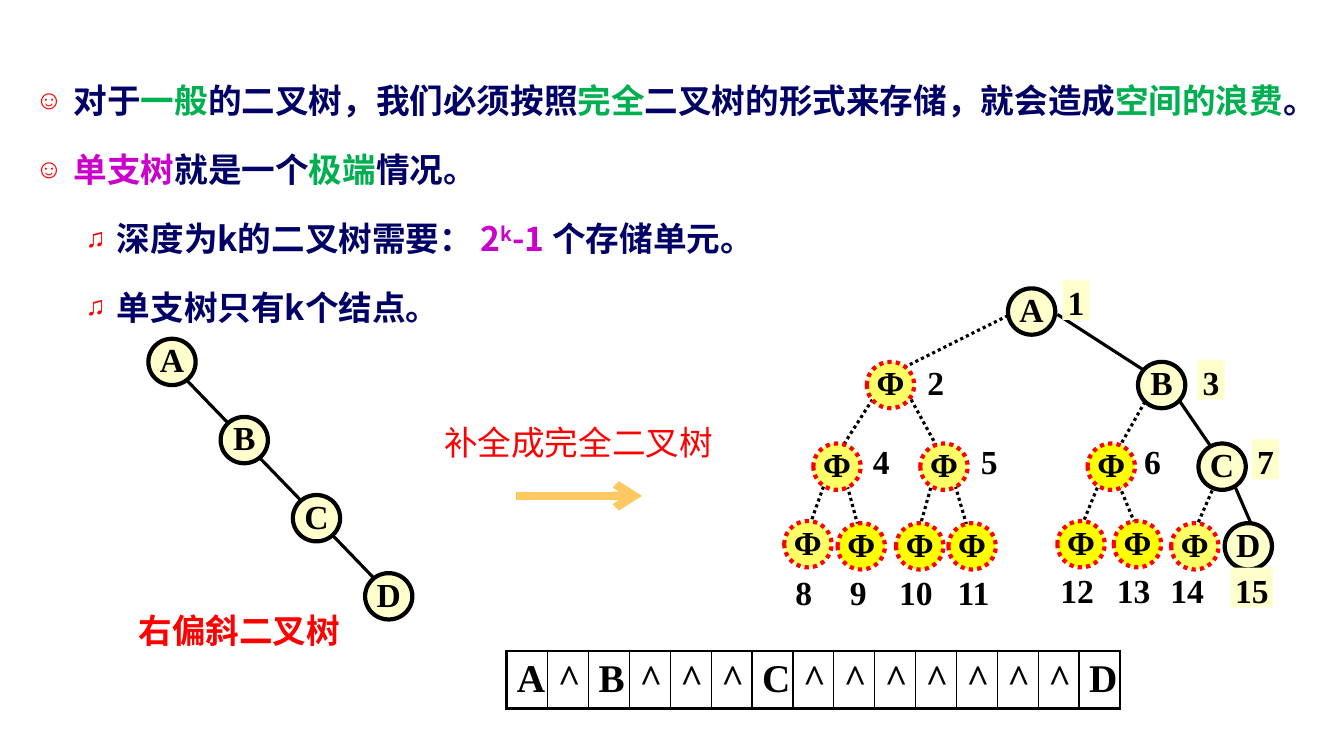
from lxml import etree
from pptx import Presentation
from pptx.dml.color import RGBColor
from pptx.enum.dml import MSO_LINE
from pptx.enum.shapes import MSO_CONNECTOR, MSO_SHAPE
from pptx.enum.text import MSO_ANCHOR, MSO_AUTO_SIZE, PP_ALIGN
from pptx.oxml.ns import qn
from pptx.util import Pt

LINE, OVAL = MSO_CONNECTOR.STRAIGHT, MSO_SHAPE.OVAL
DOTS = MSO_LINE.ROUND_DOT
TOP, MIDDLE = MSO_ANCHOR.TOP, MSO_ANCHOR.MIDDLE
FIXED = MSO_AUTO_SIZE.NONE
LEFT, CENTER = PP_ALIGN.LEFT, PP_ALIGN.CENTER

BLACK = RGBColor(0x00, 0x00, 0x00)
NAVY = RGBColor(0x00, 0x00, 0x66)
GREEN = RGBColor(0x00, 0xB0, 0x50)
PURPLE = RGBColor(0xCC, 0x00, 0xCC)
RED = RGBColor(0xFF, 0x00, 0x00)
CREAM = RGBColor(0xFF, 0xFF, 0xCC)
PALE = RGBColor(0xFF, 0xFF, 0x66)
YELLOW = RGBColor(0xFF, 0xFF, 0x00)
ORANGE = RGBColor(0xFD, 0xC9, 0x60)
SANS, SERIF = "Noto Sans CJK SC", "Times New Roman"


def style(para, face, color, size=24, bold=True, align=LEFT):
    para.alignment = align
    font = para.font
    font.size, font.bold, font.name = Pt(size), bold, face
    font.color.rgb = color
    props = para._p.pPr.find(qn("a:defRPr"))
    etree.SubElement(props, qn("a:ea"), typeface=face)


def link(x1, y1, x2, y2, color=BLACK, width=2.25):
    line = shapes.add_connector(LINE, Pt(x1), Pt(y1), Pt(x2), Pt(y2))
    line.line.color.rgb = color
    line.line.width = Pt(width)
    etree.SubElement(line._element.spPr, qn("a:effectLst"))
    return line


deck = Presentation()
deck.slide_width, deck.slide_height = Pt(960), Pt(540)
slide = deck.slides.add_slide(deck.slide_layouts[1])
shapes = slide.shapes
title = shapes.title._element
title.getparent().remove(title)

# Body text: level, then runs of text, colour and superscript
points = [
    (0, [("对于", NAVY), ("一般", GREEN), ("的二叉树，我们必须按照", NAVY),
         ("完全", GREEN), ("二叉树的形式来存储，就会造成", NAVY),
         ("空间的浪费", GREEN), ("。", NAVY)]),
    (0, [("单支树", PURPLE), ("就是一个", NAVY), ("极端", GREEN),
         ("情况。", NAVY)]),
    (1, [("深度为k的二叉树需要： ", NAVY), ("2", PURPLE), ("k", PURPLE, 30000),
         ("-1 ", PURPLE), ("个存储单元。", NAVY)]),
    (1, [("单支树只有k个结点。", NAVY)]),
]
marks = [("☺", 27.4, 27.4), ("♫", 58.3, 22.3)]

body = slide.placeholders[1]
body.left, body.top, body.width, body.height = Pt(18), Pt(39), Pt(930), Pt(339)
frame = body.text_frame
frame.auto_size, frame.vertical_anchor = FIXED, TOP
for i, (level, runs) in enumerate(points):
    para = frame.add_paragraph() if i else frame.paragraphs[0]
    para.level = level
    mark, margin, hang = marks[level]
    props = para._p.get_or_add_pPr()
    props.set("marL", str(Pt(margin)))
    props.set("indent", str(-Pt(hang)))
    tint = etree.SubElement(props, qn("a:buClr"))
    etree.SubElement(tint, qn("a:srgbClr"), val=str(RED))
    etree.SubElement(props, qn("a:buSzPct"), val="80000")
    etree.SubElement(props, qn("a:buChar"), char=mark)
    para.line_spacing = 1.5
    para.space_before = Pt(6 if i else 0)
    style(para, SANS, NAVY)
    for text, color, *lift in runs:
        run = para.add_run()
        run.text = text
        run.font.color.rgb = color
        if lift:
            run.font._element.set("baseline", str(lift[0]))

# Storage array
cells = "A^B^^^C^^^^^^^D"
last = len(cells) - 1
grid = shapes.add_table(1, len(cells), Pt(362), Pt(465), Pt(438), Pt(41)).table
grid.first_row = grid.horz_banding = False
for i, text in enumerate(cells):
    grid.columns[i].width = Pt(29.2)
    cell = grid.cell(0, i)
    cell.text = text
    cell.vertical_anchor = MIDDLE
    style(cell.text_frame.paragraphs[0], SERIF, BLACK, 28)
    props = cell._tc.get_or_add_tcPr()
    for side in "LRTB":
        inner = (side == "L" and i > 0) or (side == "R" and i < last)
        edge = etree.SubElement(props, qn(f"a:ln{side}"),
                                w=str(Pt(1 if inner else 2.25)))
        fill = etree.SubElement(edge, qn("a:solidFill"))
        etree.SubElement(fill, qn("a:srgbClr"), val=str(BLACK))
    cell.fill.background()

# Complete tree: letter, fill, node x and y, label x and y, edge from parent
tree = [
    ("A", CREAM, 720, 206, 758.9, 200.2, None),
    ("Φ", PALE, 619.2, 258.5, 662.4, 257, (720, 225.4, 642.2, 264.2)),
    ("B", CREAM, 812.9, 258.5, 855.4, 257, (755.3, 224.6, 820.1, 266.4)),
    ("Φ", PALE, 581, 316.8, 623.5, 313.9, (625.7, 281.5, 601.2, 319.7)),
    ("Φ", PALE, 657.4, 316.8, 700.6, 313.9, (648.7, 281.5, 669.6, 319.7)),
    ("Φ", YELLOW, 776.9, 316.8, 817.2, 313.9, (820.1, 283, 798.5, 321.1)),
    ("C", CREAM, 856.1, 316.8, 894.2, 313.9, (840.2, 283, 865.4, 319.7)),
    ("Φ", PALE, 560.2, 372.2, 568.1, 406.8, (589.7, 343.4, 578.2, 375.8)),
    ("Φ", YELLOW, 598.3, 373.7, 607, 406.8, (604.1, 342.7, 612.7, 375.1)),
    ("Φ", YELLOW, 640.1, 373.7, 642.2, 406.8, (666, 344.2, 657.4, 375.1)),
    ("Φ", YELLOW, 677.5, 373.7, 684, 406.8, (681.1, 342.7, 690.5, 375.1)),
    ("Φ", YELLOW, 755.3, 372.2, 757.4, 405.4, (785.5, 344.2, 772.6, 375.8)),
    ("Φ", YELLOW, 795.6, 372.2, 797.8, 405.4, (797.8, 342.7, 811.4, 375.8)),
    ("Φ", PALE, 836.6, 373.7, 835.9, 405.4, (867.6, 346.3, 855.4, 374.4)),
    ("D", CREAM, 874.8, 373.7, 879.1, 405.4, (881.3, 345.6, 893.5, 373.7)),
]
skew = [(text, CREAM, 106 + 51.6 * i, 242 + 55.8 * i)
        for i, text in enumerate("ABCD")]

for i in range(len(skew) - 1):
    x, y = 132.5 + 52.2 * i, 270.7 + 55.5 * i
    link(x, y, x + 31.3, y + 32.4)
for text, *_, ends in tree:
    if ends:
        edge = link(*ends)
        if text == "Φ":
            edge.line.dash_style = DOTS

for text, color, x, y in skew + [row[:4] for row in tree]:
    node = shapes.add_shape(OVAL, Pt(x), Pt(y), Pt(33.8), Pt(33.1))
    node.shadow.inherit = False
    node.fill.solid()
    node.fill.fore_color.rgb = color
    node.line.width = Pt(3)
    node.line.color.rgb = RED if text == "Φ" else BLACK
    if text == "Φ":
        node.line.dash_style = DOTS
    frame = node.text_frame
    frame.margin_left = frame.margin_right = 0
    frame.margin_top = frame.margin_bottom = 0
    frame.vertical_anchor = MIDDLE
    frame.text = text
    para = frame.paragraphs[0]
    para.line_spacing = 0.9
    style(para, SERIF, BLACK, align=CENTER)

for number, (text, _, _, _, x, y, _) in enumerate(tree, 1):
    width = 19.4 if number < 10 else 30.2
    label = shapes.add_textbox(Pt(x), Pt(y), Pt(width), Pt(28.4))
    frame = label.text_frame
    frame.margin_left = frame.margin_right = frame.margin_bottom = 0
    frame.margin_top = Pt(1.4)
    frame.word_wrap = True
    frame.text = str(number)
    real = text != "Φ"
    if real:
        label.fill.solid()
        label.fill.fore_color.rgb = CREAM
    style(frame.paragraphs[0], SERIF, BLACK, align=CENTER if real else LEFT)

# Captions and arrow
arrow = link(368.6, 354.2, 458.6, 354.2, ORANGE, 6)
etree.SubElement(arrow.line._get_or_add_ln(), qn("a:tailEnd"), type="arrow")
for text, x, y, width, bold in [("右偏斜二叉树", 69.8, 432, 202.3, True),
                                ("补全成完全二叉树", 290.9, 298, 244.8, False)]:
    box = shapes.add_textbox(Pt(x), Pt(y), Pt(width), Pt(36))
    frame = box.text_frame
    frame.word_wrap = True
    frame.margin_left = frame.margin_right = 0
    frame.text = text
    style(frame.paragraphs[0], SANS, RED, bold=bold, align=CENTER)

deck.save("out.pptx")
